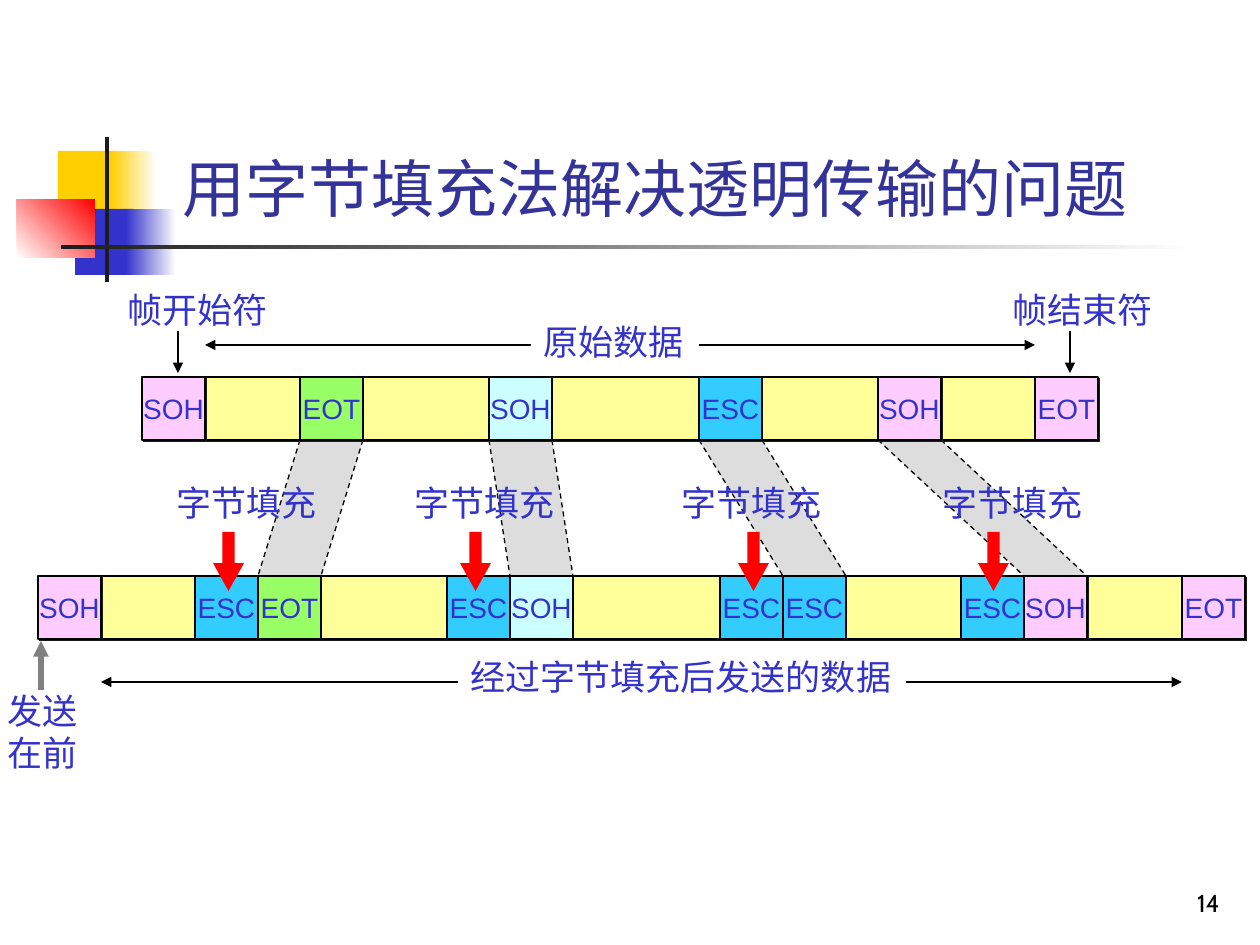
"""Build a slide on byte stuffing: an original frame above, the stuffed frame below."""
import pptx
import pptx.dml.color
import pptx.enum.dml
import pptx.enum.shapes
import pptx.enum.text
import pptx.oxml
import pptx.oxml.ns
import pptx.util
from lxml import etree

PX = 914400 / 126
CELL = 63
UPPER, LOWER = 377, 576
LABEL_WIDTH, LABEL_HEIGHT = 168, 55
COLORS = {
    "yellow": "FFCF01", "blue": "3333CC", "red": "FF0000", "dark": "1C1C1C",
    "white": "FFFFFF", "black": "000000", "gray": "808080", "band": "DDDDDD",
    "title": "333399", "pink": "FFCCFF", "data": "FFFF99", "green": "99FF66",
    "sky": "33CCFF", "pale": "CCFFFF",
}
TITLE = "用字节填充法解决透明传输的问题 "
ORNAMENT = [
    (58, 151, 60, 66, ["yellow"], 0),
    (111, 151, 45, 66, ["yellow", "white"], 0),
    (75, 209, 58, 66, ["blue"], 0),
    (126, 209, 50, 66, ["blue", "white"], 0),
    (17, 199, 78, 59, ["white", "red"], 45),
    (105, 137, 4, 145, ["dark"], 0),
    (61, 245, 1134, 4, ["dark", "white"], 0),
]
FRAMES = [
    (UPPER, [(142, "SOH", "pink"), (300, "EOT", "green"), (489, "SOH", "pale"),
             (699, "ESC", "sky"), (878, "SOH", "pink"), (1035, "EOT", "pink")]),
    (LOWER, [(38, "SOH", "pink"), (195, "ESC", "sky"), (258, "EOT", "green"),
             (447, "ESC", "sky"), (510, "SOH", "pale"), (720, "ESC", "sky"),
             (783, "ESC", "sky"), (961, "ESC", "sky"), (1024, "SOH", "pink"),
             (1182, "EOT", "pink")]),
]
BANDS = [(300, 258), (489, 510), (699, 783), (878, 1024)]
STUFFING = [(164, 213), (402, 460), (669, 738), (930, 978)]
SPANS = [
    ((205, 345, 1035, 345), ("原始数据", 531, 314, LABEL_WIDTH, LABEL_HEIGHT)),
    ((101, 682, 1182, 682), ("经过字节填充后发送的数据", 458, 649, 448, LABEL_HEIGHT)),
]
LABELS = [
    ("帧开始符", 115, 282, LABEL_WIDTH, LABEL_HEIGHT),
    ("帧结束符", 1000, 282, LABEL_WIDTH, LABEL_HEIGHT),
    ("发送\n在前", -5, 683, 97, 97),
]
POINTERS = [
    ((178, 331, 178, 373), "black", 0.75),
    ((1070, 331, 1070, 373), "black", 0.75),
    ((41, 690, 41, 641), "gray", 3),
]

SHAPE = pptx.enum.shapes.MSO_SHAPE
ALIGN = pptx.enum.text.PP_ALIGN
ANCHOR = pptx.enum.text.MSO_ANCHOR


def px(*values):
    return [round(value * PX) for value in values]


def rgb(name):
    return pptx.dml.color.RGBColor.from_string(COLORS[name])


def write(box, text, size=20, color="blue", font="Arial", align=ALIGN.LEFT,
          anchor=ANCHOR.TOP, wrap=False, grow=False):
    frame = box.text_frame
    frame.text = text
    frame.word_wrap = wrap
    frame.vertical_anchor = anchor
    if grow:
        frame.auto_size = pptx.enum.text.MSO_AUTO_SIZE.SHAPE_TO_FIT_TEXT
    for para in frame.paragraphs:
        para.alignment = align
        for span in para.runs:
            span.font.size = pptx.util.Pt(size)
            span.font.name = font
            span.font.color.rgb = rgb(color)


def paint(shape, colors, angle=0, outlined=False, shadow=False):
    shape.shadow.inherit = False
    if len(colors) == 1:
        shape.fill.solid()
        shape.fill.fore_color.rgb = rgb(colors[0])
    else:
        shape.fill.gradient()
        shape.fill.gradient_angle = angle
        for stop, color, position in zip(shape.fill.gradient_stops, colors, (0, 1)):
            stop.color.rgb = rgb(color)
            stop.position = position
    if outlined:
        shape.line.color.rgb = rgb("black")
        shape.line.width = pptx.util.Pt(0.75)
    else:
        shape.line.fill.background()
    if shadow:
        effects = shape._element.spPr.find(pptx.oxml.ns.qn("a:effectLst"))
        outer = etree.SubElement(effects, pptx.oxml.ns.qn("a:outerShdw"), blurRad="0",
                                 dist=str(pptx.util.Pt(1.4)), dir="2700000", algn="ctr",
                                 rotWithShape="0")
        etree.SubElement(outer, pptx.oxml.ns.qn("a:srgbClr"), val=COLORS["dark"])


def add_box(page, place, colors, kind=SHAPE.RECTANGLE, **options):
    box = page.shapes.add_shape(kind, *px(*place))
    paint(box, colors, **options)
    return box


def add_line(page, ends, color="black", width=0.75, dashed=False, arrows=()):
    line = page.shapes.add_connector(pptx.enum.shapes.MSO_CONNECTOR.STRAIGHT, *px(*ends))
    line.line.color.rgb = rgb(color)
    line.line.width = pptx.util.Pt(width)
    if dashed:
        line.line.dash_style = pptx.enum.dml.MSO_LINE.DASH
    for end in arrows:
        etree.SubElement(line.line._get_or_add_ln(), pptx.oxml.ns.qn(f"a:{end}"),
                         type="triangle")
    etree.SubElement(line._element.spPr, pptx.oxml.ns.qn("a:effectLst"))


def add_label(page, text, *place, **options):
    write(page.shapes.add_textbox(*px(*place)), text, **options)


def add_band(page, top, bottom):
    start, end = UPPER + CELL, LOWER
    builder = page.shapes.build_freeform(bottom, end, scale=PX)
    builder.add_line_segments(
        [(bottom + CELL, end), (top + CELL, start), (top, start)], close=True)
    paint(builder.convert_to_shape(), ["band"])
    for shift in (0, CELL):
        add_line(page, (top + shift, start, bottom + shift, end), dashed=True)


def add_frame(page, top, cells):
    left, right = cells[0][0] + CELL, cells[-1][0]
    add_box(page, (left, top, right - left, CELL), ["data"], outlined=True, shadow=True)
    for x, text, color in cells:
        cell = add_box(page, (x, top, CELL, CELL), [color], outlined=True,
                       shadow=color == "pink")
        write(cell, text, size=16, align=ALIGN.CENTER, anchor=ANCHOR.MIDDLE)


def main():
    deck = pptx.Presentation()
    deck.slide_width, deck.slide_height = px(1260, 945)
    page = deck.slides.add_slide(deck.slide_layouts[5])
    for *place, colors, angle in ORNAMENT:
        add_box(page, place, colors, angle=angle)
    title = page.shapes.title
    title.left, title.top, title.width, title.height = px(159, 29, 1007, 202)
    write(title, TITLE, size=36, color="title", align=ALIGN.CENTER,
          anchor=ANCHOR.BOTTOM, wrap=True)
    for top, bottom in BANDS:
        add_band(page, top, bottom)
    for top, cells in FRAMES:
        add_frame(page, top, cells)
    for ends, (text, *place) in SPANS:
        add_line(page, ends, arrows=("headEnd", "tailEnd"))
        write(add_box(page, place, ["white"]), text, grow=True)
    for label_left, arrow_left in STUFFING:
        add_label(page, "字节填充", label_left, 475, LABEL_WIDTH, LABEL_HEIGHT, grow=True)
        arrow = add_box(page, (arrow_left, 532, 31, 59), ["red"], kind=SHAPE.DOWN_ARROW)
        arrow.adjustments[0], arrow.adjustments[1] = 0.39, 0.9
    for label in LABELS:
        add_label(page, *label, grow=True)
    for ends, color, width in POINTERS:
        add_line(page, ends, color, width, arrows=("tailEnd",))
    add_label(page, "14", 970, 861, 262, 63, size=14, color="black", font="Cabin",
              align=ALIGN.RIGHT, anchor=ANCHOR.BOTTOM, wrap=True)
    deck.save("out.pptx")


if __name__ == "__main__":
    main()
